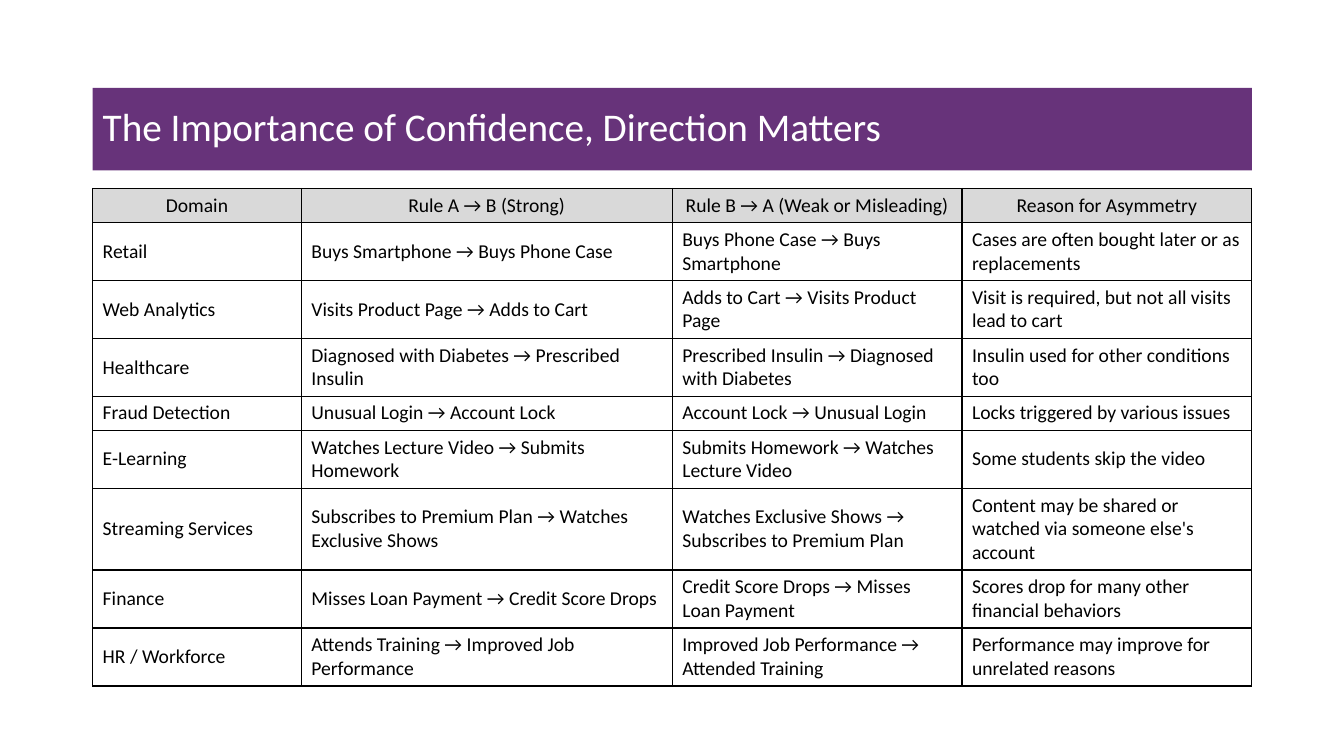
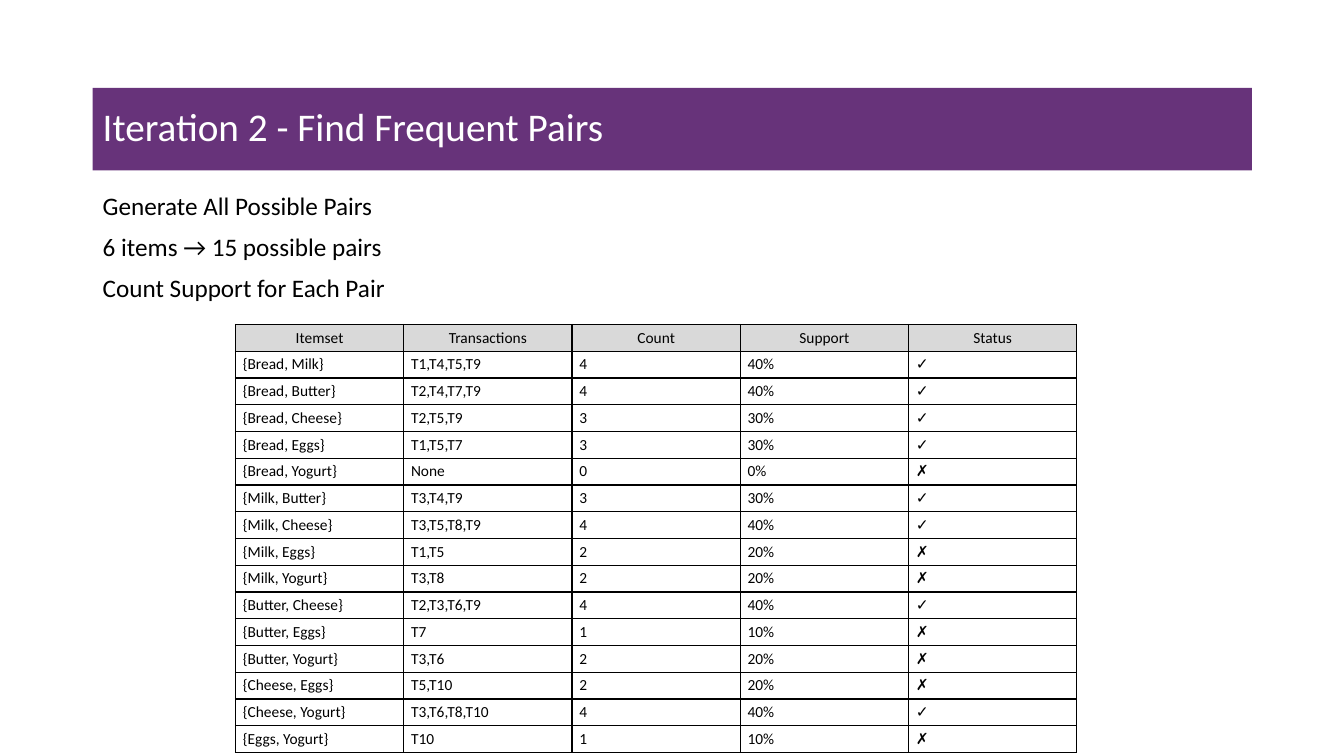
from dataclasses import dataclass
from itertools import combinations

from lxml.etree import SubElement
from pptx import Presentation
from pptx.dml.color import RGBColor
from pptx.enum.text import MSO_ANCHOR as Anchor, MSO_AUTO_SIZE as AutoSize, PP_ALIGN as Align
from pptx.oxml.ns import qn
from pptx.util import Pt

PURPLE = RGBColor(0x67, 0x33, 0x7A)
GREY = RGBColor(0xD9, 0xD9, 0xD9)
BLACK = RGBColor(0, 0, 0)
WHITE = RGBColor(0xFF, 0xFF, 0xFF)
FONT = "Calibri"
TITLE_ONLY, TITLE_AND_BODY = 5, 1


@dataclass
class Box:
    """Left, top, width and height in points."""
    left: float
    top: float
    width: float
    height: float

    def lengths(self):
        return [Pt(v) for v in (self.left, self.top, self.width, self.height)]


@dataclass
class TableStyle:
    size: float
    margin_x: float
    margin_y: float


TITLE_BOX = Box(66.2, 62.8, 828, 59)
RULES_BOX = Box(66.2, 134.6, 828, 355.5)
STEPS_BOX = Box(66.2, 134.6, 828, 86.4)
PAIRS_BOX = Box(168.2, 231.8, 601, 303.2)

# Content: asymmetric rules, headings first
RULES = [
    ("Domain", "Rule A → B (Strong)", "Rule B → A (Weak or Misleading)",
     "Reason for Asymmetry"),
    ("Retail", "Buys Smartphone → Buys Phone Case",
     "Buys Phone Case → Buys Smartphone",
     "Cases are often bought later or as replacements"),
    ("Web Analytics", "Visits Product Page → Adds to Cart",
     "Adds to Cart → Visits Product Page",
     "Visit is required, but not all visits lead to cart"),
    ("Healthcare", "Diagnosed with Diabetes → Prescribed Insulin",
     "Prescribed Insulin → Diagnosed with Diabetes",
     "Insulin used for other conditions too"),
    ("Fraud Detection", "Unusual Login → Account Lock",
     "Account Lock → Unusual Login", "Locks triggered by various issues"),
    ("E-Learning", "Watches Lecture Video → Submits Homework",
     "Submits Homework → Watches Lecture Video", "Some students skip the video"),
    ("Streaming Services", "Subscribes to Premium Plan → Watches Exclusive Shows",
     "Watches Exclusive Shows → Subscribes to Premium Plan",
     "Content may be shared or watched via someone else's account"),
    ("Finance", "Misses Loan Payment → Credit Score Drops",
     "Credit Score Drops → Misses Loan Payment",
     "Scores drop for many other financial behaviors"),
    ("HR / Workforce", "Attends Training → Improved Job Performance",
     "Improved Job Performance → Attended Training",
     "Performance may improve for unrelated reasons"),
]
RULE_LINES = [1, 2, 2, 2, 1, 2, 3, 2, 2]
RULE_SHARES = [0.18, 0.32, 0.25, 0.25]

# Content: frequent pairs, with the transactions of each pair in order
STEPS = ["Generate All Possible Pairs", "6 items → 15 possible pairs",
         "Count Support for Each Pair"]
ITEMS = ["Bread", "Milk", "Butter", "Cheese", "Eggs", "Yogurt"]
PAIR_TRANSACTIONS = [
    "T1,T4,T5,T9", "T2,T4,T7,T9", "T2,T5,T9", "T1,T5,T7", "",
    "T3,T4,T9", "T3,T5,T8,T9", "T1,T5", "T3,T8",
    "T2,T3,T6,T9", "T7", "T3,T6",
    "T5,T10", "T3,T6,T8,T10",
    "T10",
]
TRANSACTION_TOTAL = 10
MIN_COUNT = 3


def pair_rows():
    rows = [("Itemset", "Transactions", "Count", "Support", "Status")]
    for (first, second), transactions in zip(combinations(ITEMS, 2), PAIR_TRANSACTIONS):
        count = len(transactions.split(",")) if transactions else 0
        rows.append((f"{{{first}, {second}}}", transactions or "None", str(count),
                     f"{100 * count // TRANSACTION_TOTAL}%",
                     "✓" if count >= MIN_COUNT else "✗"))
    return rows


def add_text(paragraph, text, size, color):
    run = paragraph.add_run()
    run.text = text
    run.font.name, run.font.size = FONT, Pt(size)
    run.font.color.rgb = color


def place(placeholder, box, anchor):
    placeholder.left, placeholder.top, placeholder.width, placeholder.height = box.lengths()
    frame = placeholder.text_frame
    frame.word_wrap = True
    frame.auto_size = AutoSize.NONE
    frame.vertical_anchor = anchor
    return frame


# Title band shared by the slides
def add_titled_slide(deck, layout, title):
    slide = deck.slides.add_slide(deck.slide_layouts[layout])
    band = slide.shapes.title
    band.fill.solid()
    band.fill.fore_color.rgb = PURPLE
    heading = place(band, TITLE_BOX, Anchor.MIDDLE).paragraphs[0]
    heading.alignment = Align.LEFT
    heading.line_spacing = 0.9
    add_text(heading, title, 28, WHITE)
    return slide


# Unbulleted list in the body placeholder
def fill_steps(slide, box, steps):
    frame = place(slide.placeholders[1], box, Anchor.TOP)
    for i, step in enumerate(steps):
        paragraph = frame.add_paragraph() if i else frame.paragraphs[0]
        props = paragraph._p.get_or_add_pPr()
        props.set("marL", "0")
        props.set("indent", "0")
        SubElement(props, qn("a:buNone"))
        paragraph.line_spacing = 0.9
        paragraph.space_before = Pt(10 if i else 0)
        add_text(paragraph, step, 18, BLACK)


def add_borders(cell):
    props = cell._tc.get_or_add_tcPr()
    for side in ("lnL", "lnR", "lnT", "lnB"):
        line = SubElement(props, qn(f"a:{side}"), w=str(Pt(1)))
        solid = SubElement(line, qn("a:solidFill"))
        SubElement(solid, qn("a:srgbClr"), val=str(BLACK))


def format_cell(cell, text, style, is_heading):
    add_borders(cell)
    if is_heading:
        cell.fill.solid()
        cell.fill.fore_color.rgb = GREY
    else:
        cell.fill.background()
    cell.vertical_anchor = Anchor.MIDDLE
    cell.margin_left = cell.margin_right = Pt(style.margin_x)
    cell.margin_top = cell.margin_bottom = Pt(style.margin_y)
    paragraph = cell.text_frame.paragraphs[0]
    paragraph.alignment = Align.CENTER if is_heading else Align.LEFT
    add_text(paragraph, text, style.size, BLACK)


# Bordered table with a grey heading row
def add_grid(slide, box, rows, shares, heights, style):
    grid = slide.shapes.add_table(len(rows), len(shares), *box.lengths()).table
    grid.horz_banding = False
    for column, share in zip(grid.columns, shares):
        column.width = Pt(box.width * share)
    for r, (values, height) in enumerate(zip(rows, heights)):
        grid.rows[r].height = Pt(height)
        for c, text in enumerate(values):
            format_cell(grid.cell(r, c), text, style, r == 0)


def build_rules_slide(deck):
    slide = add_titled_slide(deck, TITLE_ONLY,
                             "The Importance of Confidence, Direction Matters")
    style = TableStyle(size=14, margin_x=7.2, margin_y=3.6)
    heights = [2 * style.margin_y + 17.1 * lines for lines in RULE_LINES]
    add_grid(slide, RULES_BOX, RULES, RULE_SHARES, heights, style)


def build_pairs_slide(deck):
    slide = add_titled_slide(deck, TITLE_AND_BODY, "Iteration 2 - Find Frequent Pairs")
    fill_steps(slide, STEPS_BOX, STEPS)
    rows = pair_rows()
    columns = len(rows[0])
    heights = [PAIRS_BOX.height / len(rows)] * len(rows)
    add_grid(slide, PAIRS_BOX, rows, [1 / columns] * columns, heights,
             TableStyle(size=11, margin_x=5.2, margin_y=2.75))


def main():
    deck = Presentation()
    deck.slide_width, deck.slide_height = Pt(960), Pt(540)
    build_rules_slide(deck)
    build_pairs_slide(deck)
    deck.save("out.pptx")


if __name__ == "__main__":
    main()
